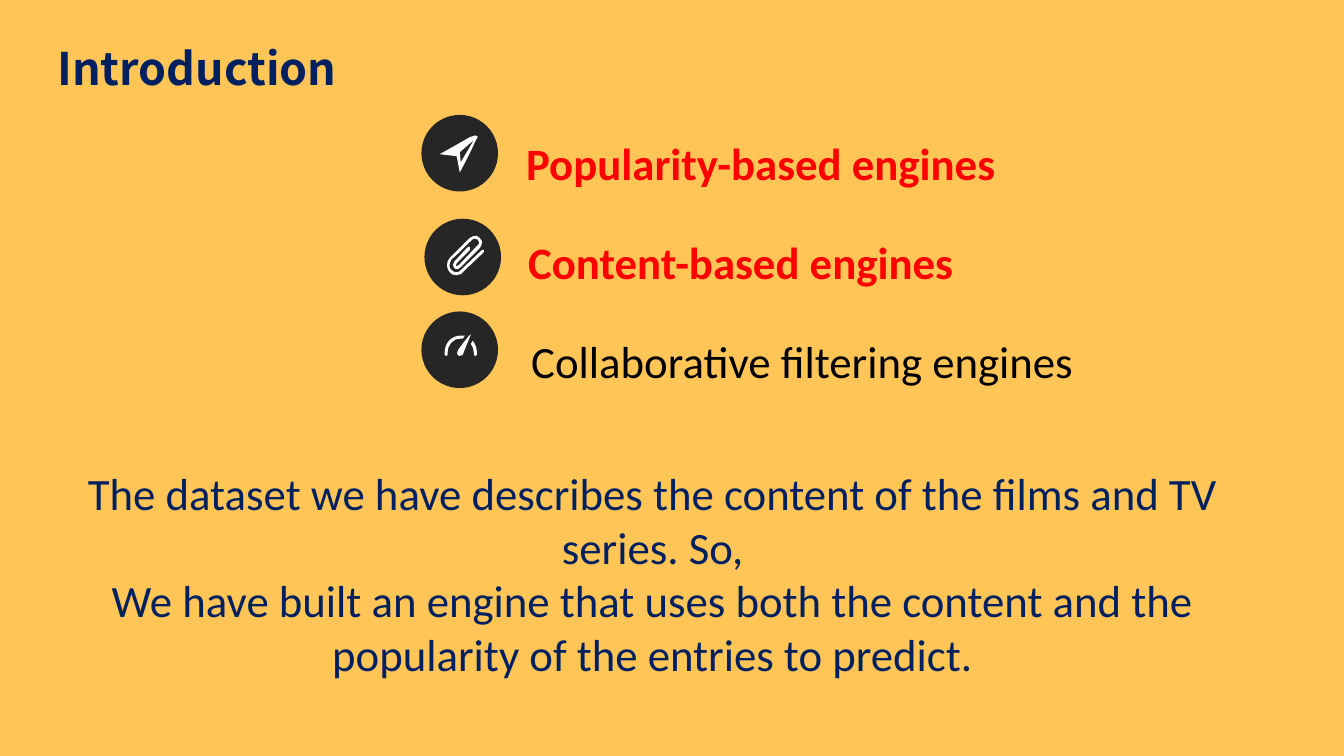
from pptx import Presentation
from pptx.dml.color import RGBColor
from pptx.enum.shapes import MSO_SHAPE
from pptx.enum.text import MSO_ANCHOR, MSO_AUTO_SIZE, PP_ALIGN
from pptx.oxml.ns import qn

PX = 9144  # 100 px to the inch
POINT = 12700
NAVY, RED, BLACK, WHITE = "002060", "FF0000", "000000", "FFFFFF"
AMBER, CHARCOAL = "FFC557", "262626"
SLIDE_WIDTH, SLIDE_HEIGHT = 1333, 750
DISC_SIZE = 76

# Icon outlines in px from the disc's corner: pairs are line ends,
# sixes are cubic curves (two control points and an end).
ARROW_ICON = [
    [(55, 21), (54, 19, 53, 21, 48, 22), (38, 28, 18, 39, 18, 39), (35, 41, 35, 41, 35, 41),
     (38, 57, 38, 57, 38, 57), (38, 57, 48, 39, 53, 27), (55, 23, 57, 21, 55, 21)],
    [(52, 25), (39, 47, 39, 47, 39, 47), (38, 37, 38, 37, 38, 37), (52, 25)],
]
CLIP_ICON = [
    [(31, 56), (29, 56, 26, 55, 25, 53), (22, 50, 21, 43, 25, 39), (28, 36, 39, 25, 45, 19),
     (47, 17, 50, 17, 52, 17), (54, 18, 56, 20, 57, 22), (57, 24, 57, 27, 55, 29),
     (36, 48, 36, 48, 36, 48), (35, 49, 33, 50, 33, 50), (31, 50, 30, 50, 29, 48),
     (28, 47, 28, 45, 30, 42), (43, 28, 43, 28, 43, 28), (44, 28, 45, 28, 45, 28),
     (45, 29, 45, 30, 45, 31), (32, 44, 32, 44, 32, 44), (31, 45, 31, 46, 31, 47),
     (32, 47), (33, 47, 33, 46, 34, 46), (52, 27, 52, 27, 52, 27), (54, 26, 55, 24, 54, 23),
     (54, 21, 52, 20, 51, 20), (50, 19, 48, 20, 47, 21), (41, 27, 30, 38, 27, 40),
     (24, 45, 24, 49, 27, 51), (29, 53, 33, 55, 37, 50), (57, 31, 57, 31, 57, 31),
     (57, 31, 58, 31, 59, 31), (59, 33), (39, 52, 39, 52, 39, 52), (37, 55, 34, 56, 31, 56)],
]
GAUGE_ICON = [
    [(36, 39), (35, 41, 35, 43, 37, 44), (38, 44, 40, 44, 41, 43),
     (42, 40, 49, 23, 49, 23), (48, 22, 37, 37, 36, 39)],
    [(39, 27), (40, 27, 40, 27, 41, 27), (42, 26, 42, 25, 43, 24), (42, 24, 41, 24, 39, 24),
     (30, 24, 23, 31, 23, 41), (23, 41, 23, 42, 23, 43), (23, 44, 24, 44, 24, 44),
     (26, 44, 26, 43, 26, 43), (26, 42, 26, 41, 26, 41), (26, 33, 31, 27, 39, 27)],
    [(51, 29), (50, 30, 50, 31, 49, 32), (51, 35, 52, 38, 52, 41), (52, 41, 52, 42, 52, 43),
     (52, 43, 52, 44, 53, 44), (54, 44, 55, 44, 55, 43), (55, 42, 55, 41, 55, 41),
     (55, 36, 53, 32, 51, 29)],
]

# Icon, disc corner, label, label box, label colour, bold
ENGINES = [
    (ARROW_ICON, (418, 114), "Popularity-based engines", (512, 130, 547, 64), RED, True),
    (CLIP_ICON, (421, 217), "Content-based engines", (514, 228, 547, 64), RED, True),
    (GAUGE_ICON, (418, 309), "Collaborative filtering engines", (517, 326, 593, 64), BLACK, False),
]


def color(hex_string):
    return RGBColor.from_string(hex_string)


def emu(lengths):
    return [length * PX for length in lengths]


def paint(shape, fill):
    shape.shadow.inherit = False
    shape.fill.solid()
    shape.fill.fore_color.rgb = color(fill)
    shape.line.fill.background()


def write(shape, text, font_color, bold=False, font_name="Calibri", align=PP_ALIGN.LEFT):
    frame = shape.text_frame
    frame.text = text
    frame.word_wrap = True
    frame.auto_size = MSO_AUTO_SIZE.SHAPE_TO_FIT_TEXT
    frame.vertical_anchor = MSO_ANCHOR.TOP
    for paragraph in frame.paragraphs:
        paragraph.alignment = align
        for run in paragraph.runs:
            run.font.name = font_name
            run.font.size = 32 * POINT
            run.font.bold = bold
            run.font.color.rgb = color(font_color)


def points_of(segment):
    return [emu(segment[start:start + 2]) for start in range(0, len(segment), 2)]


def bend(freeform, outlines):
    """Join the three line ends of each cubic segment into one curve."""
    line_ends = iter(freeform._element.xpath(".//a:lnTo"))
    for outline in outlines:
        for segment in outline[1:]:
            ends = [next(line_ends) for _ in points_of(segment)]
            if len(ends) == 1:
                continue
            curve = ends[0].makeelement(qn("a:cubicBezTo"), {})
            ends[0].addprevious(curve)
            for end in ends:
                curve.append(end[0])
                end.getparent().remove(end)


def add_icon(slide, outlines, left, top):
    disc = slide.shapes.add_shape(MSO_SHAPE.OVAL, *emu((left, top, DISC_SIZE, DISC_SIZE)))
    paint(disc, CHARCOAL)
    builder = slide.shapes.build_freeform(*emu(outlines[0][0]))
    for index, outline in enumerate(outlines):
        if index:
            builder.move_to(*emu(outline[0]))
        builder.add_line_segments([point for segment in outline[1:] for point in points_of(segment)])
    freeform = builder.convert_to_shape(*emu((left, top)))
    bend(freeform, outlines)
    paint(freeform, WHITE)


def add_text(slide, box, text, font_color, **style):
    write(slide.shapes.add_textbox(*emu(box)), text, font_color, **style)


def add_title(slide, box, text):
    title = slide.shapes.title
    title.left, title.top, title.width, title.height = emu(box)
    write(title, text, NAVY, bold=True, font_name="Noto Sans CJK SC")


def add_backdrop(slide, box):
    """Add the coloured panel behind everything, the title included."""
    backdrop = slide.shapes.add_shape(MSO_SHAPE.RECTANGLE, *emu(box))
    paint(backdrop, AMBER)
    slide.shapes.title._element.addprevious(backdrop._element)


def add_introduction(presentation):
    slide = presentation.slides.add_slide(presentation.slide_layouts.get_by_name("Title Only"))
    add_backdrop(slide, (0, 0, SLIDE_WIDTH, SLIDE_HEIGHT))
    add_title(slide, (47, 35, 350, 64), "Introduction")
    for icon, corner, label, box, label_color, bold in ENGINES:
        add_icon(slide, icon, *corner)
        add_text(slide, box, label, label_color, bold=bold)
    add_text(
        slide, (16, 457, 1263, 225),
        "The dataset we have describes the content of the films and TV series. So,\n"
        "We have built an engine that uses both the content and the popularity of the entries to predict.",
        NAVY, align=PP_ALIGN.CENTER)


def main():
    presentation = Presentation()
    presentation.slide_width, presentation.slide_height = emu((SLIDE_WIDTH, SLIDE_HEIGHT))
    add_introduction(presentation)
    presentation.save("out.pptx")


if __name__ == "__main__":
    main()
